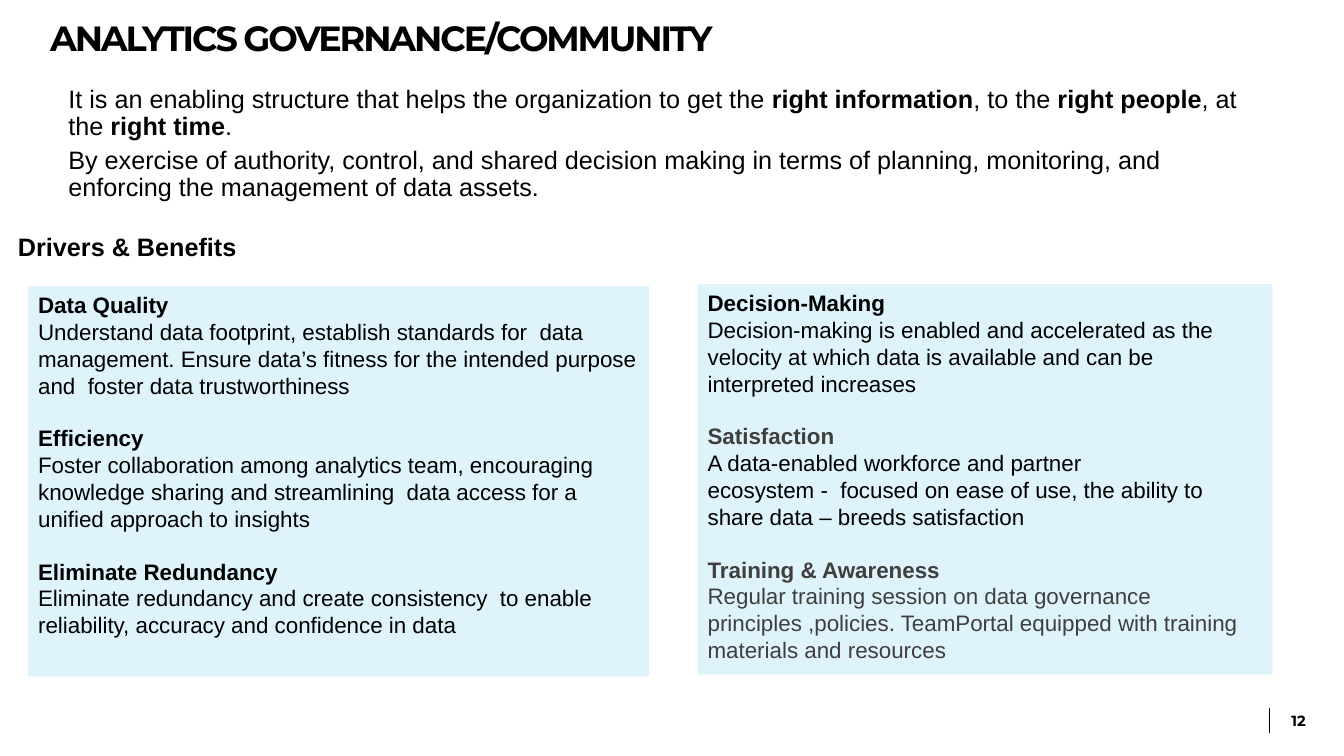
from dataclasses import dataclass
from typing import Any

from lxml import etree
from pptx import Presentation
from pptx.dml.color import RGBColor
from pptx.enum import shapes, text
from pptx.oxml import ns
from pptx.util import Inches, Pt


@dataclass(frozen=True)
class Theme:
    """Colours, fonts and type sizes of the slide."""
    ink: str = "000000"
    muted: str = "3F3F3F"
    panel: str = "DEF3FA"
    display: str = "Montserrat"
    body: str = "Arial"
    title_size: float = 25
    intro_size: float = 18
    panel_size: float = 16
    number_size: float = 10.5
    panel_gap: float = 18.4


@dataclass(frozen=True)
class Box:
    """A rectangle in inches."""
    left: float
    top: float
    width: float
    height: float

    def lengths(self) -> list[int]:
        """Return the rectangle as slide lengths."""
        return [Inches(n) for n in (self.left, self.top, self.width, self.height)]


@dataclass(frozen=True)
class Span:
    """A stretch of text with one weight."""
    words: str
    bold: bool = False


@dataclass(frozen=True)
class Benefit:
    """A heading with the lines below it."""
    heading: str
    lines: tuple[str, ...]
    heading_colour: str
    line_colour: str


@dataclass(frozen=True)
class Panel:
    """A tinted rectangle listing benefits."""
    box: Box
    benefits: tuple[Benefit, ...]


THEME = Theme()

INTRO = (
    (
        Span("It is an enabling structure that helps the organization to get the "),
        Span("right information", True),
        Span(", to the "),
        Span("right people", True),
        Span(", at the "),
        Span("right time", True),
        Span("."),
    ),
    (
        Span("By exercise of authority, control, and shared decision making in terms of "
             "planning, monitoring, and enforcing the management of data assets."),
    ),
)

PANELS = (
    Panel(Box(0.28, 2.84, 6.16, 3.87), (
        Benefit("Data Quality", (
            "Understand data footprint, establish standards for  data management. Ensure "
            "data’s fitness for the intended purpose and  foster data trustworthiness",
        ), THEME.ink, THEME.ink),
        Benefit("Efficiency", (
            "Foster collaboration among analytics team, encouraging knowledge sharing and "
            "streamlining  data access for a unified approach to insights",
        ), THEME.ink, THEME.ink),
        Benefit("Eliminate Redundancy", (
            "Eliminate redundancy and create consistency  to enable reliability, accuracy "
            "and confidence in data",
        ), THEME.ink, THEME.ink),
    )),
    Panel(Box(6.92, 2.82, 5.7, 3.87), (
        Benefit("Decision-Making", (
            "Decision‐making is enabled and accelerated as the velocity at which data is "
            "available and can be interpreted increases",
        ), THEME.ink, THEME.ink),
        Benefit("Satisfaction", (
            "A data-enabled workforce and partner",
            "ecosystem -  focused on ease of use, the ability to share data – breeds "
            "satisfaction",
        ), THEME.muted, THEME.ink),
        Benefit("Training & Awareness", (
            "Regular training session on data governance principles ,policies. TeamPortal "
            "equipped with training materials and resources",
        ), THEME.muted, THEME.muted),
    )),
)


def next_para(frame: Any) -> Any:
    """Return the empty first paragraph, or a new one."""
    first = frame.paragraphs[0]
    return frame.add_paragraph() if first.runs else first


def write(para: Any, spans: tuple[Span, ...], size: float, colour: str = THEME.ink,
          font: str = THEME.body) -> None:
    """Fill a paragraph with formatted spans."""
    para.alignment = text.PP_ALIGN.LEFT
    for span in spans:
        run = para.add_run()
        run.text = span.words
        run.font.name = font
        run.font.size = Pt(size)
        run.font.bold = span.bold
        run.font.color.rgb = RGBColor.from_string(colour)


def add_text(page: Any, box: Box) -> Any:
    """Add a wrapping text box and return its frame."""
    frame = page.shapes.add_textbox(*box.lengths()).text_frame
    frame.word_wrap = True
    return frame


def draw_title(page: Any) -> None:
    """Draw the tightly tracked title."""
    para = add_text(page, Box(0.4, 0.16, 12.7, 0.6)).paragraphs[0]
    para.line_spacing = 0.9
    write(para, (Span("ANALYTICS GOVERNANCE/COMMUNITY", True),), THEME.title_size,
          font=THEME.display)
    para.runs[0].font._element.set("spc", "-150")


def draw_intro(page: Any) -> None:
    """Draw the indented introduction and the section heading."""
    frame = add_text(page, Box(0.08, 0.81, 12.54, 2))
    for spans in INTRO:
        para = next_para(frame)
        para.line_spacing, para.space_before = 0.9, Pt(5)
        para._p.get_or_add_pPr().set("marL", str(Inches(0.5)))
        write(para, spans, THEME.intro_size)
    para = next_para(frame)
    para.line_spacing, para.space_before = 1.5, Pt(10)
    write(para, (Span("Drivers & Benefits", True),), THEME.intro_size)


def draw_panel(page: Any, panel: Panel) -> None:
    """Draw one tinted panel with its benefits."""
    shape = page.shapes.add_shape(shapes.MSO_SHAPE.RECTANGLE, *panel.box.lengths())
    shape.shadow.inherit = False
    shape.fill.solid()
    shape.fill.fore_color.rgb = RGBColor.from_string(THEME.panel)
    shape.line.fill.background()
    frame = shape.text_frame
    frame.word_wrap = True
    frame.vertical_anchor = text.MSO_ANCHOR.TOP
    for index, benefit in enumerate(panel.benefits):
        para = next_para(frame)
        para.space_before = Pt(THEME.panel_gap if index else 0)
        write(para, (Span(benefit.heading, True),), THEME.panel_size, benefit.heading_colour)
        for line in benefit.lines:
            write(next_para(frame), (Span(line),), THEME.panel_size, benefit.line_colour)


def draw_page_number(page: Any) -> None:
    """Draw the page number and the rule beside it."""
    rule = page.shapes.add_connector(shapes.MSO_CONNECTOR.STRAIGHT, Inches(12.59),
                                     Inches(7.02), Inches(12.59), Inches(7.27))
    rule.line.color.rgb = RGBColor.from_string(THEME.ink)
    rule.line.width = Pt(0.5)
    etree.SubElement(rule._element.spPr, ns.qn("a:effectLst"))
    frame = add_text(page, Box(12.55, 6.95, 0.5, 0.4))
    frame.vertical_anchor = text.MSO_ANCHOR.MIDDLE
    para = frame.paragraphs[0]
    write(para, (Span("12", True),), THEME.number_size, font=THEME.display)
    para.alignment = text.PP_ALIGN.RIGHT


def main() -> None:
    """Build the slide and save it."""
    deck = Presentation()
    deck.slide_width, deck.slide_height = Inches(13.33), Inches(7.5)
    page = deck.slides.add_slide(deck.slide_layouts[6])
    draw_title(page)
    draw_intro(page)
    for panel in PANELS:
        draw_panel(page, panel)
    draw_page_number(page)
    deck.save("out.pptx")


if __name__ == "__main__":
    main()
